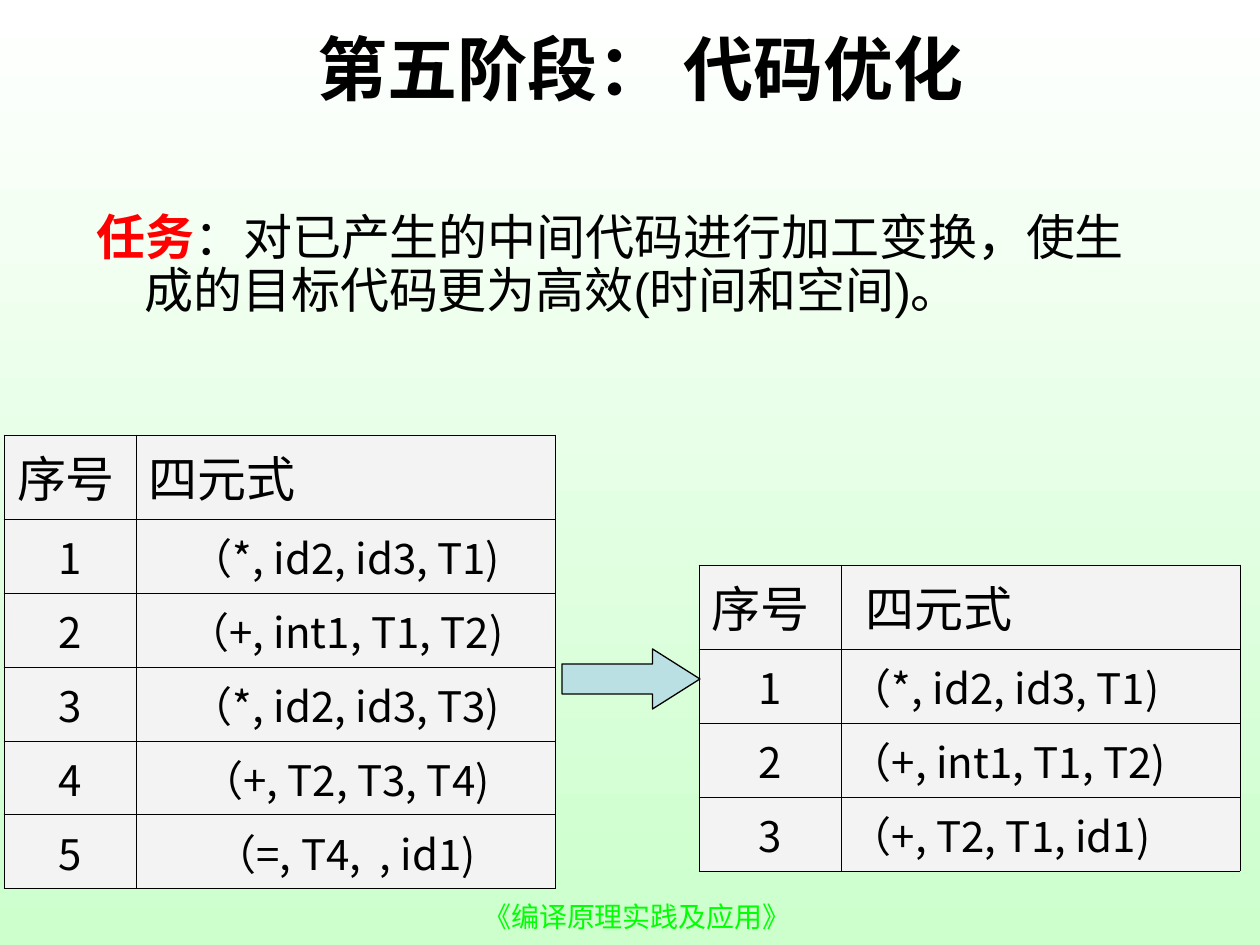
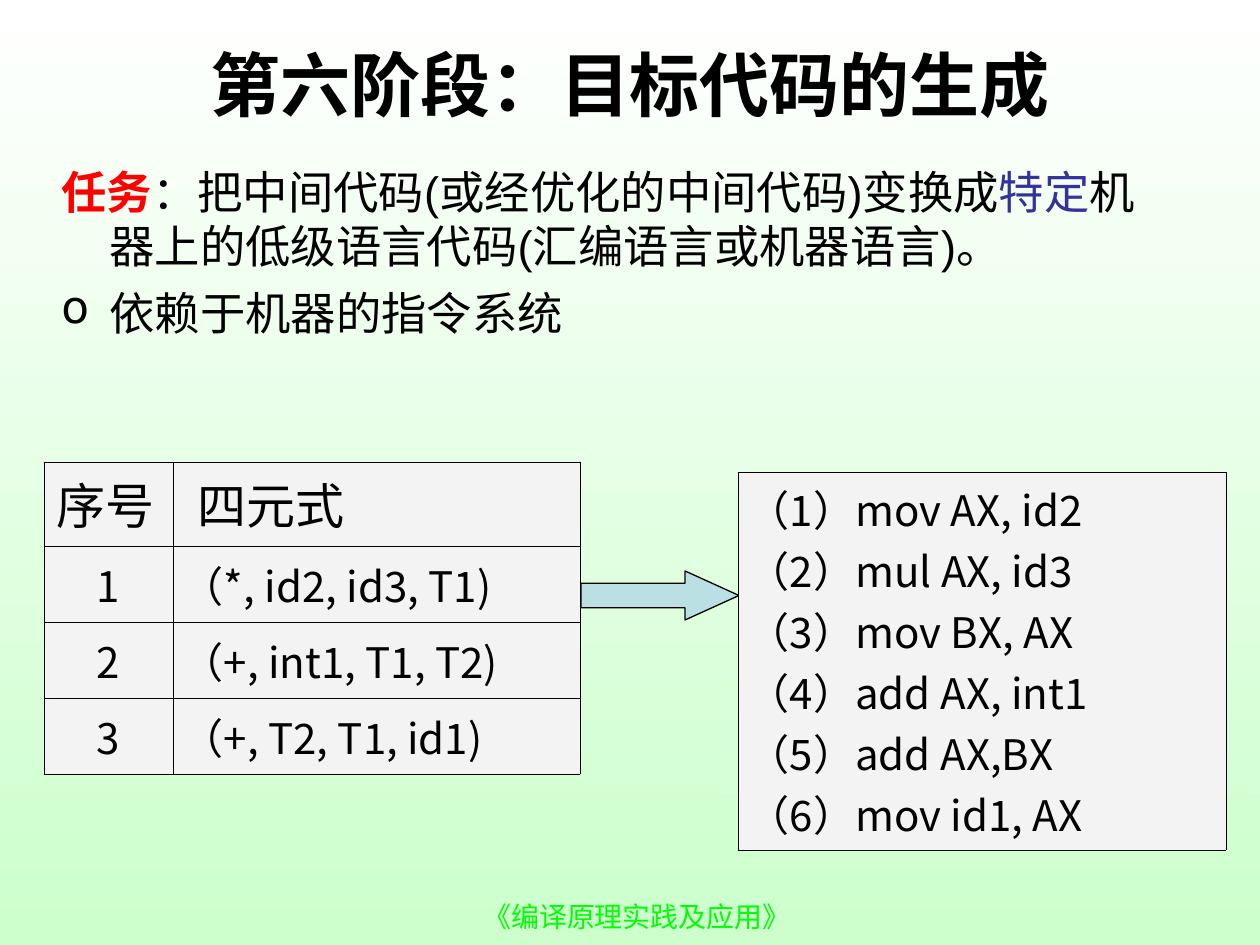
import dataclasses

import lxml.etree
import pptx
import pptx.dml.color
import pptx.enum.shapes
import pptx.enum.text
import pptx.oxml.ns
import pptx.util


@dataclasses.dataclass(frozen=True)
class Theme:
    black: str = "000000"
    red: str = "FF0000"
    blue: str = "333399"
    green: str = "00FF00"
    sky: str = "FFFFFF"
    ground: str = "CCFFCC"
    cell: str = "F3F3F3"
    arrow: str = "BBE0E3"
    sans: str = "Arial"
    serif: str = "Times New Roman"
    cjk: str = "Noto Sans CJK SC"
    title_size: float = 40
    heading_size: float = 28
    task_size: float = 25.9
    cell_size: float = 24
    footer_size: float = 16
    border: float = 0.45
    outline: float = 0.75


theme = Theme()
PX = 914400 / 126
HEADER_HEIGHT = 84
rgb = pptx.dml.color.RGBColor.from_string
qn = pptx.oxml.ns.qn
ALIGN = pptx.enum.text.PP_ALIGN
ANCHOR = pptx.enum.text.MSO_ANCHOR


def write(paragraph, text, size, latin=theme.sans, east_asian=theme.sans,
          color=theme.black, bold=False):
    run = paragraph.add_run()
    run.text = text
    formats = {"size": pptx.util.Pt(size), "name": latin, "bold": bold}
    for attribute, value in formats.items():
        setattr(run.font, attribute, value)
    run.font.color.rgb = rgb(color)
    latin_tag = run.font._element.find(qn("a:latin"))
    ea_tag = lxml.etree.Element(qn("a:ea"), typeface=east_asian)
    latin_tag.addnext(ea_tag)


def add_grid(slide, left, top, widths, heights, rows):
    """Each cell is (lines, alignment, anchor, side margin, left margin, font, size)."""
    box = [round(v * PX) for v in (left, top, sum(widths), sum(heights))]
    table = slide.shapes.add_table(len(heights), len(widths), *box).table
    table.first_row = table.horz_banding = False
    for column, width in zip(table.columns, widths):
        column.width = round(width * PX)
    for table_row, height, row in zip(table.rows, heights, rows):
        table_row.height = round(height * PX)
        for cell, content in zip(table_row.cells, row):
            lines, align, anchor, side, start, font, size = content
            formats = {"vertical_anchor": anchor, "margin_left": round(start * PX),
                       "margin_right": round(side * PX),
                       "margin_top": round(6 * PX), "margin_bottom": round(6 * PX)}
            for attribute, value in formats.items():
                setattr(cell, attribute, value)
            for number, line in enumerate(lines):
                frame = cell.text_frame
                paragraph = frame.add_paragraph() if number else frame.paragraphs[0]
                paragraph.alignment = align
                write(paragraph, line, size, font, theme.cjk)
            # Borders come before the fill in the cell properties
            properties = cell._tc.get_or_add_tcPr()
            for side_tag in ("a:lnL", "a:lnR", "a:lnT", "a:lnB"):
                border = lxml.etree.SubElement(properties, qn(side_tag),
                                               w=str(pptx.util.Pt(theme.border)))
                solid = lxml.etree.SubElement(border, qn("a:solidFill"))
                lxml.etree.SubElement(solid, qn("a:srgbClr"), val=theme.black)
            cell.fill.solid()
            cell.fill.fore_color.rgb = rgb(theme.cell)


presentation = pptx.Presentation()
presentation.slide_width = round(1260 * PX)
presentation.slide_height = round(945 * PX)

# Shared background
backdrop = presentation.slide_master.background.fill
backdrop.gradient()
backdrop.gradient_angle = 270
for stop, color, position in zip(backdrop.gradient_stops, (theme.sky, theme.ground), (0, 1)):
    stop.color.rgb = rgb(color)
    stop.position = position

# Content: boxes are left, top, width, height in px
reduced = ["（*, id2, id3, T1)", "（+, int1, T1, T2)", "（+, T2, T1, id1)"]
initial = ["（*, id2, id3, T1)", "（+, int1, T1, T2)", "（*, id2, id3, T3)",
           "（+, T2, T3, T4)", "（=, T4,  , id1)"]
assembly = ["mov AX, id2", "mul AX, id3", "mov BX, AX",
            "add AX, int1", "add AX,BX", "mov id1, AX"]
phases = [
    {"title": "第五阶段： 代码优化", "title_box": (105, 0, 1071, 135),
     "task_box": (84, 207, 1092, 146), "task_size": theme.heading_size, "spacing": 0.9,
     "task": [[("任务", theme.red, True),
               ("：对已产生的中间代码进行加工变换，使生成的目标代码更为高效(时间和空间)。",
                theme.black, False)]],
     "quadruples": [(4, 435, (132, 419), 74, initial, ALIGN.CENTER, 13),
                    (699, 565, (142, 399), 74, reduced, ALIGN.JUSTIFY, 25)],
     "arrow_box": (562, 649, 138, 60), "arrow_head": 0.79},
    {"title": "第六阶段：目标代码的生成", "title_box": (63, 38, 1134, 91),
     "task_box": (49, 158, 1121, 249), "task_size": theme.task_size, "spacing": 1.0,
     "task": [[("任务", theme.red, True),
               ("：把中间代码(或经优化的中间代码)变换成", theme.black, False),
               ("特定", theme.blue, False),
               ("机器上的低级语言代码(汇编语言或机器语言)。", theme.black, False)],
              [("依赖于机器的指令系统", theme.black, False)]],
     "quadruples": [(44, 462, (129, 407), 76, reduced, ALIGN.JUSTIFY, 25)],
     "arrow_box": (581, 571, 158, 49), "arrow_head": 1.1},
]

for phase in phases:
    slide = presentation.slides.add_slide(presentation.slide_layouts[6])

    # Footer, title and task text boxes
    frames = []
    for box, anchor in (((471, 893, 338, 55), ANCHOR.TOP),
                        (phase["title_box"], ANCHOR.MIDDLE),
                        (phase["task_box"], ANCHOR.TOP)):
        frame = slide.shapes.add_textbox(*[round(v * PX) for v in box]).text_frame
        frame.word_wrap = True
        frame.vertical_anchor = anchor
        frames.append(frame)
    footer, title, task = frames
    write(footer.paragraphs[0], "《编译原理实践及应用》", theme.footer_size, color=theme.green)
    title.paragraphs[0].alignment = ALIGN.CENTER
    write(title.paragraphs[0], phase["title"], theme.title_size, theme.cjk, theme.cjk, bold=True)

    # Task paragraphs with hanging indent; later ones are bulleted
    for number, pieces in enumerate(phase["task"]):
        paragraph = task.add_paragraph() if number else task.paragraphs[0]
        properties = paragraph._p.get_or_add_pPr()
        properties.set("marL", str(round(48 * PX)))
        properties.set("indent", str(round(-48 * PX)))
        if number:
            lxml.etree.SubElement(properties, qn("a:buChar"), char="o")
            paragraph.space_before = pptx.util.Pt(7)
        paragraph.line_spacing = phase["spacing"]
        for text, color, bold in pieces:
            write(paragraph, text, phase["task_size"], color=color, bold=bold)

    # Quadruple tables
    for left, top, widths, height, codes, align, indent in phase["quadruples"]:
        rows = [[(["序号"], ALIGN.LEFT, ANCHOR.TOP, 13, 13, theme.serif, theme.heading_size),
                 (["四元式"], ALIGN.LEFT, ANCHOR.TOP, 13, indent, theme.serif, theme.heading_size)]]
        for number, code in enumerate(codes, 1):
            rows.append([([str(number)], ALIGN.CENTER, ANCHOR.MIDDLE, 9, 9, theme.cjk, theme.cell_size),
                         ([code], align, ANCHOR.MIDDLE, 9, 9, theme.cjk, theme.cell_size)])
        add_grid(slide, left, top, widths, [HEADER_HEIGHT] + [height] * len(codes), rows)

    # Arrow from input to result
    arrow = slide.shapes.add_shape(pptx.enum.shapes.MSO_SHAPE.RIGHT_ARROW,
                                   *[round(v * PX) for v in phase["arrow_box"]])
    arrow.shadow.inherit = False
    arrow.adjustments[1] = phase["arrow_head"]
    arrow.fill.solid()
    arrow.fill.fore_color.rgb = rgb(theme.arrow)
    arrow.line.color.rgb = rgb(theme.black)
    arrow.line.width = pptx.util.Pt(theme.outline)

# Target code on the last slide
listing = [f"（{number}）{line}" for number, line in enumerate(assembly, 1)]
add_grid(slide, 738, 472, [488], [378],
         [[(listing, ALIGN.JUSTIFY, ANCHOR.TOP, 10, 10, theme.cjk, theme.cell_size)]])

presentation.save("out.pptx")
